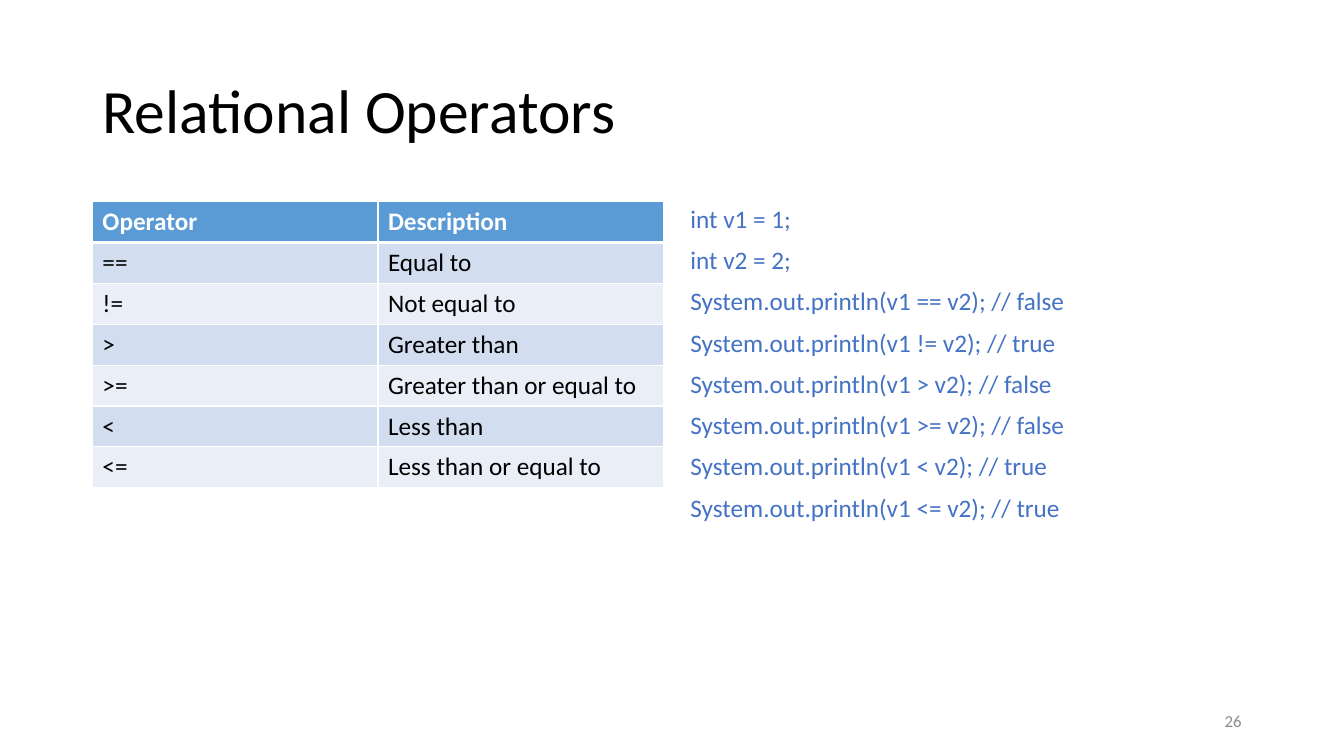
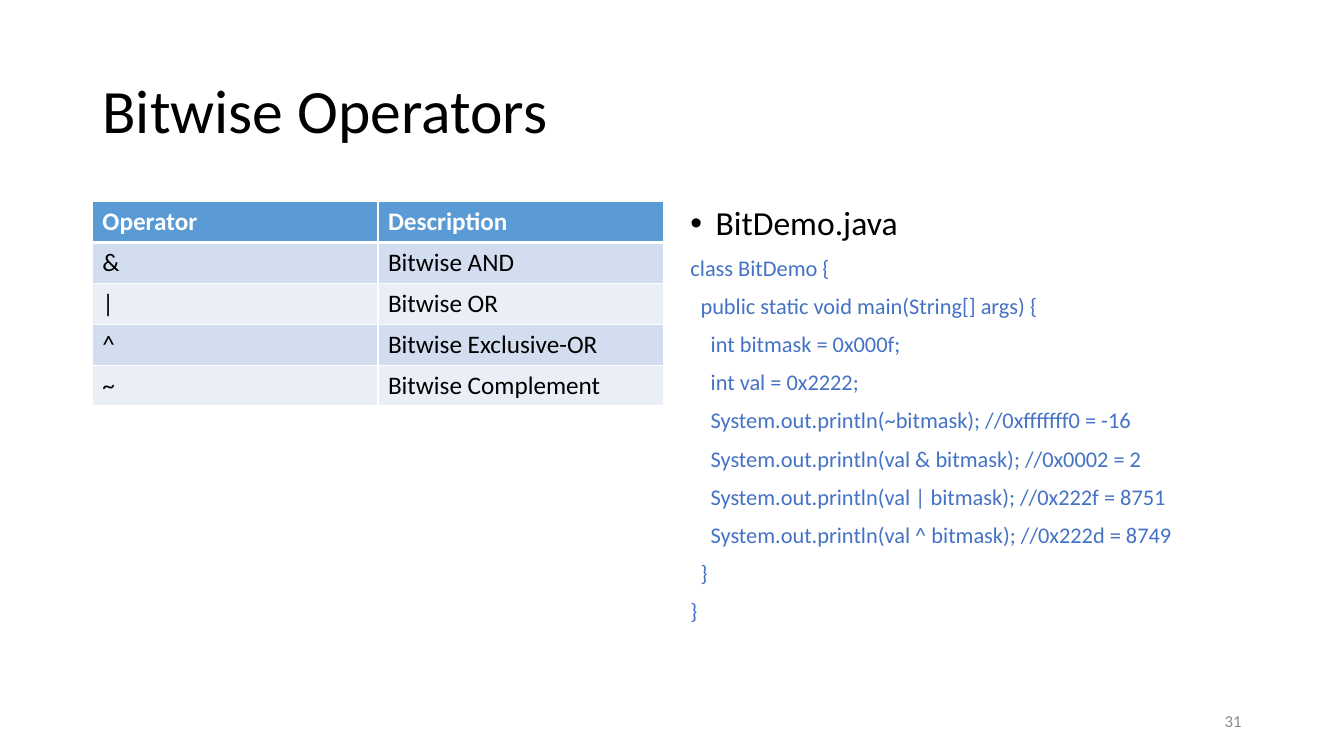
from lxml import etree
from pptx import Presentation
from pptx.dml.color import RGBColor
from pptx.enum.text import MSO_ANCHOR, MSO_AUTO_SIZE, PP_ALIGN
from pptx.oxml.ns import qn
from pptx.util import Pt

TOP, MIDDLE = MSO_ANCHOR.TOP, MSO_ANCHOR.MIDDLE
LEFT, RIGHT = PP_ALIGN.LEFT, PP_ALIGN.RIGHT
NO_FIT = MSO_AUTO_SIZE.NONE

BLACK = RGBColor(0x00, 0x00, 0x00)
WHITE = RGBColor(0xFF, 0xFF, 0xFF)
GREY = RGBColor(0x8C, 0x8C, 0x8C)
CODE_BLUE = RGBColor(0x44, 0x72, 0xC4)
HEADER_BLUE = RGBColor(0x5B, 0x9B, 0xD5)
BANDS = (RGBColor(0xEA, 0xEF, 0xF7), RGBColor(0xD2, 0xDE, 0xEF))

MARGIN, CONTENT_TOP, COLUMN_W = 66, 144, 408
CODE_LEFT = 486
ROW_H = 29.2
INDENT = 7.2
HEADERS = ("Operator", "Description")


class Deck:
    font = "Calibri"

    def __init__(self):
        self.prs = Presentation()
        self.prs.slide_width, self.prs.slide_height = Pt(960), Pt(540)
        self.s = None

    def place(self, sp, x, y, w, h, anchor):
        sp.left, sp.top, sp.width, sp.height = Pt(x), Pt(y), Pt(w), Pt(h)
        tf = sp.text_frame
        tf.word_wrap = True
        tf.auto_size = NO_FIT
        tf.vertical_anchor = anchor
        return tf

    def style(self, p, size, color, bold=False, align=LEFT):
        p.alignment = align
        for r in p.runs:
            r.font.name = self.font
            r.font.size = Pt(size)
            r.font.bold = bold
            r.font.color.rgb = color

    def slide(self, title, number):
        self.s = self.prs.slides.add_slide(self.prs.slide_layouts[1])
        tf = self.place(self.s.shapes.title, MARGIN, 28.75, 828, 104.4, MIDDLE)
        tf.text = title
        p = tf.paragraphs[0]
        p.line_spacing = 0.9
        self.style(p, 44, BLACK)
        self.page_number(number)

    def page_number(self, number):
        sp = self.s.shapes.add_textbox(0, 0, 0, 0)
        tf = self.place(sp, 678, 500.5, 216, 28.75, MIDDLE)
        tf.text = str(number)
        self.style(tf.paragraphs[0], 12, GREY, align=RIGHT)

    def borders(self, cell, top, bottom):
        tcPr = cell._tc.get_or_add_tcPr()
        for side, width in (("L", 1), ("R", 1), ("T", top), ("B", bottom)):
            ln = etree.SubElement(tcPr, qn(f"a:ln{side}"), w=str(Pt(width)))
            fill = etree.SubElement(ln, qn("a:solidFill"))
            etree.SubElement(fill, qn("a:srgbClr"), val=str(WHITE))

    def table(self, operators):
        rows = [HEADERS, *operators]
        frame = self.s.shapes.add_table(
            len(rows), len(HEADERS), Pt(MARGIN), Pt(CONTENT_TOP),
            Pt(COLUMN_W), Pt(ROW_H * len(rows)))
        for i, row in enumerate(rows):
            header = i == 0
            for j, text in enumerate(row):
                cell = frame.table.cell(i, j)
                cell.text = text
                self.style(cell.text_frame.paragraphs[0], 18,
                           WHITE if header else BLACK, header)
                self.borders(cell, 3 if i == 1 else 1, 3 if header else 1)
                cell.fill.solid()
                cell.fill.fore_color.rgb = HEADER_BLUE if header else BANDS[i % 2]

    def bullet(self, p, char=None, left=0, hanging=0):
        pPr = p._p.get_or_add_pPr()
        pPr.set("marL", str(Pt(left)))
        pPr.set("indent", str(-Pt(hanging)))
        if char:
            etree.SubElement(pPr, qn("a:buFont"), typeface="Arial")
            etree.SubElement(pPr, qn("a:buChar"), char=char)
        else:
            etree.SubElement(pPr, qn("a:buNone"))

    def code(self, lines, size, heading=None):
        tf = self.place(self.s.placeholders[1], CODE_LEFT, CONTENT_TOP,
                        COLUMN_W, 342.75, TOP)
        items = [(0, heading)] if heading else []
        items += lines
        tf.text = "\n".join(text for _, text in items)
        for i, (p, (level, _)) in enumerate(zip(tf.paragraphs, items)):
            p.line_spacing = 0.9
            p.space_before = Pt(10)
            if heading and i == 0:
                self.style(p, 24, BLACK)
                self.bullet(p, "•", 18, 18)
            else:
                self.style(p, size, CODE_BLUE)
                self.bullet(p, left=level * INDENT)


deck = Deck()

deck.slide("Relational Operators", 26)
deck.table([
    ("==", "Equal to"),
    ("!=", "Not equal to"),
    (">", "Greater than"),
    (">=", "Greater than or equal to"),
    ("<", "Less than"),
    ("<=", "Less than or equal to"),
])
deck.code([
    (0, "int v1 = 1;"),
    (0, "int v2 = 2;"),
    (0, "System.out.println(v1 == v2); // false"),
    (0, "System.out.println(v1 != v2); // true"),
    (0, "System.out.println(v1 > v2); // false"),
    (0, "System.out.println(v1 >= v2); // false"),
    (0, "System.out.println(v1 < v2); // true"),
    (0, "System.out.println(v1 <= v2); // true"),
], 18)

deck.slide("Bitwise Operators", 31)
deck.table([
    ("&", "Bitwise AND"),
    ("|", "Bitwise OR"),
    ("^", "Bitwise Exclusive-OR"),
    ("~", "Bitwise Complement"),
])
deck.code([
    (0, "class BitDemo {"),
    (1, "public static void main(String[] args) {"),
    (2, "int bitmask = 0x000f;"),
    (2, "int val = 0x2222;"),
    (2, "System.out.println(~bitmask); //0xfffffff0 = -16"),
    (2, "System.out.println(val & bitmask); //0x0002 = 2"),
    (2, "System.out.println(val | bitmask); //0x222f = 8751"),
    (2, "System.out.println(val ^ bitmask); //0x222d = 8749"),
    (1, "}"),
    (0, "}"),
], 16, heading="BitDemo.java")

deck.prs.save("out.pptx")
